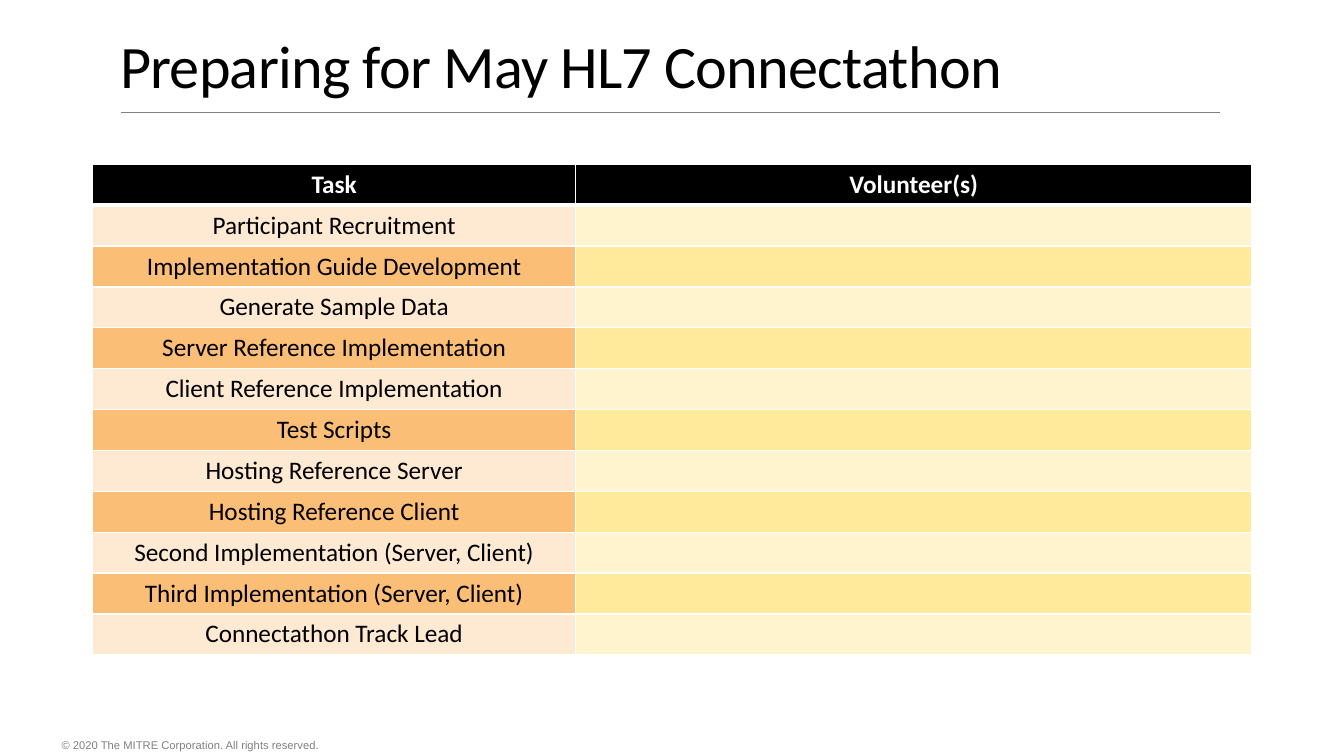
from dataclasses import dataclass

from lxml import etree
from pptx import Presentation
from pptx.dml.color import RGBColor
from pptx.enum.shapes import MSO_CONNECTOR
from pptx.enum.text import MSO_ANCHOR, PP_ALIGN
from pptx.oxml.ns import qn
from pptx.util import Emu, Inches, Pt

CENTER = PP_ALIGN.CENTER
TOP, MIDDLE = MSO_ANCHOR.TOP, MSO_ANCHOR.MIDDLE
STRAIGHT = MSO_CONNECTOR.STRAIGHT

BLACK = RGBColor(0x00, 0x00, 0x00)
WHITE = RGBColor(0xFF, 0xFF, 0xFF)
GRAY = RGBColor(0x80, 0x80, 0x80)
PALE_ORANGE = RGBColor(0xFE, 0xE9, 0xD2)
ORANGE = RGBColor(0xFB, 0xBE, 0x77)
PALE_YELLOW = RGBColor(0xFF, 0xF4, 0xCE)
YELLOW = RGBColor(0xFF, 0xEA, 0x9C)

WIDTH, HEIGHT = Inches(13.33), Inches(7.5)


@dataclass(frozen=True)
class Box:
    """A rectangle in percent of the slide's width and height."""
    left: float
    top: float
    width: float
    height: float

    def lengths(self) -> tuple[Emu, Emu, Emu, Emu]:
        """Return left, top, width and height as lengths."""
        return across(self.left), down(self.top), across(self.width), down(self.height)


@dataclass(frozen=True)
class Column:
    """A table column: heading, percent of slide width and band fills."""
    heading: str
    width: float
    bands: tuple[RGBColor, RGBColor]


TITLE_BOX = Box(8.18, 4.8, 86.25, 15.07)
TABLE_BOX = Box(6.9, 21.73, 86.25, 64.93)
FOOTER_BOX = Box(4.58, 97.07, 61.8, 2.93)
RULE = Box(9, 14.8, 81.77, 0)

COLUMNS = (
    Column("Task", 35.93, (PALE_ORANGE, ORANGE)),
    Column("Volunteer(s)", 50.32, (PALE_YELLOW, YELLOW)),
)
TASKS = (
    "Participant Recruitment",
    "Implementation Guide Development",
    "Generate Sample Data",
    "Server Reference Implementation",
    "Client Reference Implementation",
    "Test Scripts",
    "Hosting Reference Server",
    "Hosting Reference Client",
    "Second Implementation (Server, Client)",
    "Third Implementation (Server, Client)",
    "Connectathon Track Lead",
)


def across(percent: float) -> Emu:
    """Convert a percentage of the slide's width to a length."""
    return Emu(round(WIDTH * percent / 100))


def down(percent: float) -> Emu:
    """Convert a percentage of the slide's height to a length."""
    return Emu(round(HEIGHT * percent / 100))


def format_font(p, name: str, size: float, color: RGBColor, bold: bool = False) -> None:
    """Set the font of a whole paragraph."""
    p.font.name, p.font.size, p.font.bold = name, Pt(size), bold
    p.font.color.rgb = color


def add_title(slide, text: str) -> None:
    """Move, fill and format the title placeholder."""
    sp = slide.shapes.title
    sp.left, sp.top, sp.width, sp.height = TITLE_BOX.lengths()
    tf = sp.text_frame
    tf.word_wrap = True
    tf.vertical_anchor = TOP
    tf.margin_top = Inches(0.03)
    p = tf.paragraphs[0]
    p.alignment = PP_ALIGN.LEFT
    p.line_spacing = 0.85
    format_font(p, "Calibri", 43, BLACK)
    r = p.add_run()
    r.text = text
    r.font._element.set("spc", "-50")


def add_rule(slide) -> None:
    """Draw the thin line below the title."""
    left, top, width, height = RULE.lengths()
    line = slide.shapes.add_connector(STRAIGHT, left, top, left + width, top + height)
    line.line.color.rgb = GRAY
    line.line.width = Pt(0.5)
    etree.SubElement(line._element.spPr, qn("a:effectLst"))


def add_footer(slide, text: str) -> None:
    """Add the copyright line."""
    tf = slide.shapes.add_textbox(*FOOTER_BOX.lengths()).text_frame
    tf.word_wrap = True
    tf.vertical_anchor = MIDDLE
    tf.margin_left = tf.margin_top = tf.margin_right = tf.margin_bottom = 0
    p = tf.paragraphs[0]
    p.text = text
    format_font(p, "Arial", 8, GRAY)


def set_border(cell, side: str, points: float) -> None:
    """Give one side of a cell a solid white border."""
    tc_pr = cell._tc.get_or_add_tcPr()
    ln = etree.SubElement(tc_pr, qn(f"a:ln{side}"), w=str(Pt(points)))
    fill = etree.SubElement(ln, qn("a:solidFill"))
    etree.SubElement(fill, qn("a:srgbClr"), val=str(WHITE))


def format_cell(cell, text: str, fill: RGBColor, row: int) -> None:
    """Write and format a table cell."""
    header = row == 0
    for side in "LRTB":
        thick = (header and side == "B") or (row == 1 and side == "T")
        set_border(cell, side, 3 if thick else 1)
    cell.fill.solid()
    cell.fill.fore_color.rgb = fill
    p = cell.text_frame.paragraphs[0]
    p.text = text
    p.alignment = CENTER
    format_font(p, "Calibri", 18, WHITE if header else BLACK, header)


def add_task_table(slide) -> None:
    """Add the table of tasks and volunteers."""
    rows = len(TASKS) + 1
    table = slide.shapes.add_table(rows, len(COLUMNS), *TABLE_BOX.lengths()).table
    for row in table.rows:
        row.height = down(TABLE_BOX.height / rows)
    for c, column in enumerate(COLUMNS):
        table.columns[c].width = across(column.width)
        format_cell(table.cell(0, c), column.heading, BLACK, 0)
        for r, task in enumerate(TASKS, start=1):
            fill = column.bands[(r - 1) % 2]
            format_cell(table.cell(r, c), task if c == 0 else "", fill, r)


def main() -> None:
    """Build and save the slide."""
    prs = Presentation()
    prs.slide_width, prs.slide_height = WIDTH, HEIGHT
    slide = prs.slides.add_slide(prs.slide_layouts[5])
    add_rule(slide)
    add_footer(slide, "© 2020 The MITRE Corporation. All rights reserved.")
    add_title(slide, "Preparing for May HL7 Connectathon")
    add_task_table(slide)
    prs.save("out.pptx")


if __name__ == "__main__":
    main()
